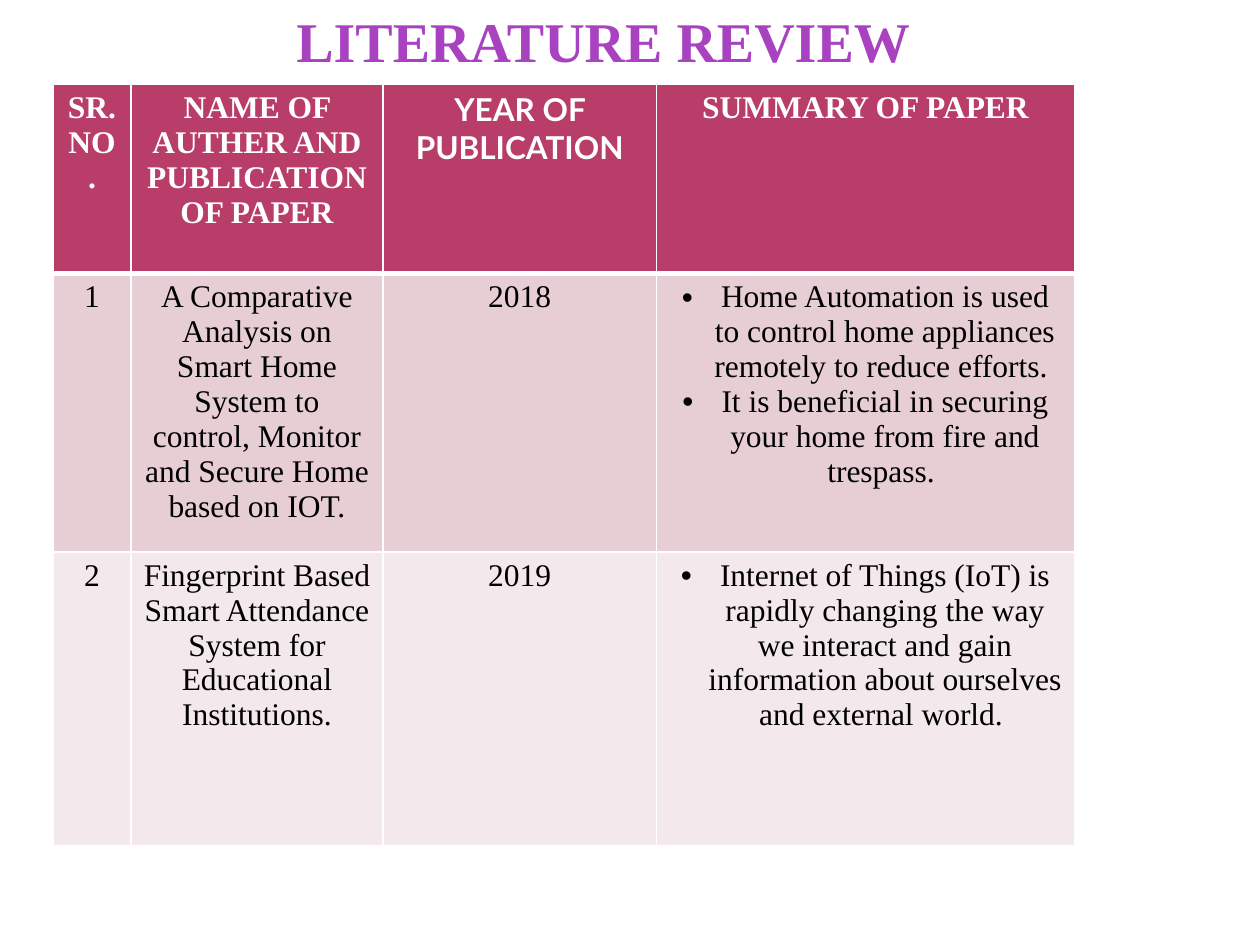
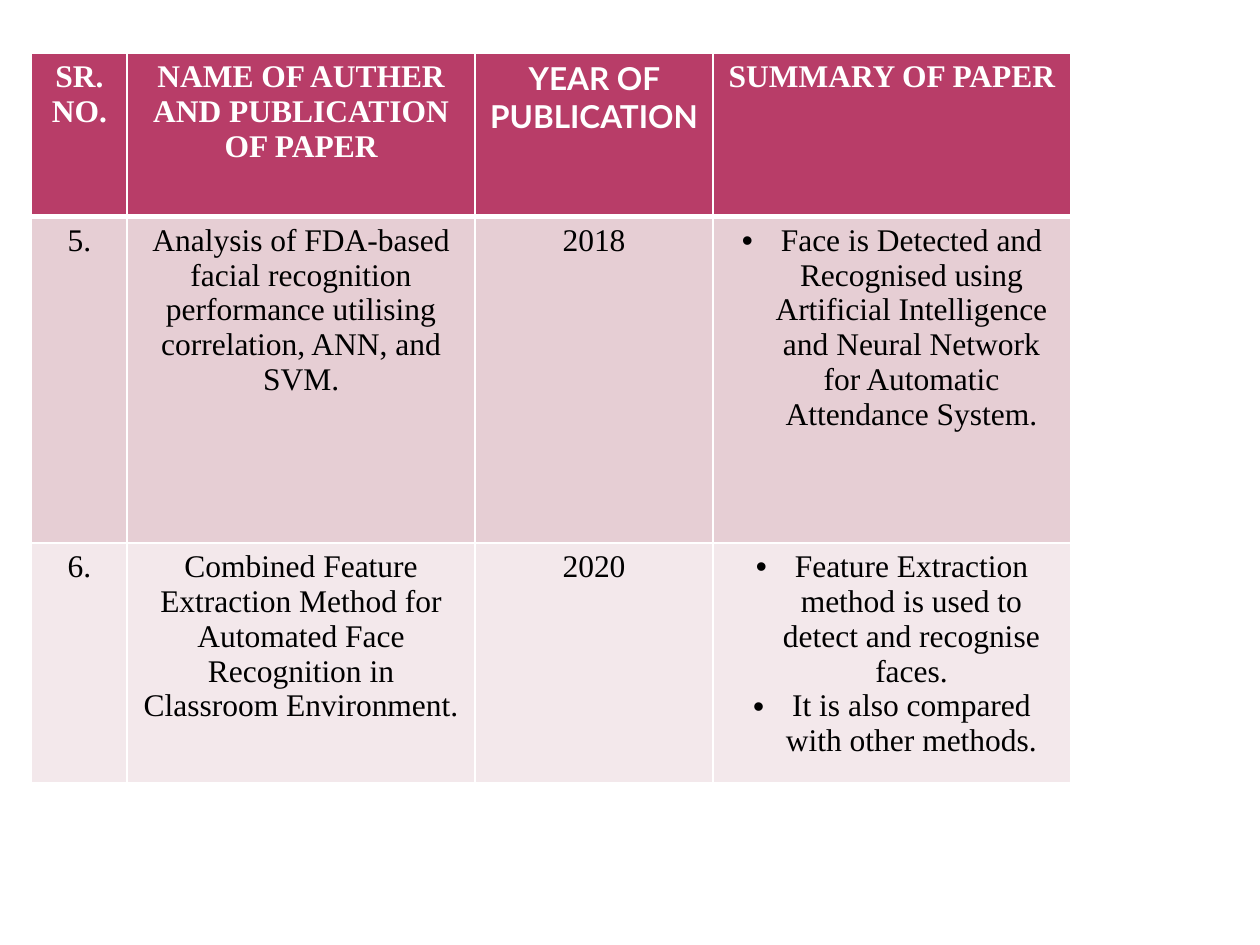
from lxml.etree import SubElement
from pptx import Presentation
from pptx.dml.color import RGBColor
from pptx.enum.text import MSO_ANCHOR as Anchor, MSO_AUTO_SIZE as AutoSize, PP_ALIGN as Align
from pptx.oxml import parse_xml
from pptx.oxml.ns import nsdecls, qn
from pptx.util import Inches, Pt

SERIF, SANS = "Times New Roman", "Lato"
WHITE, BLACK, PURPLE = "FFFFFF", "000000", "A942C1"
HEADER_FILL = "B83D68"
BAND_FILLS = ["E6CED4", "F3E8EB"]
TITLE_ONLY, BLANK = 5, 6
HEADINGS = [
    ("SR. NO.", SERIF),
    ("NAME OF AUTHER AND PUBLICATION OF PAPER", SERIF),
    ("YEAR OF PUBLICATION", SANS),
    ("SUMMARY OF PAPER", SERIF),
]
FIRST_PAPERS = [
    ("1",
     "A Comparative Analysis on Smart Home System to control, Monitor and Secure Home based on IOT.",
     "2018",
     ["Home Automation is used to control home appliances remotely to reduce efforts. ",
      "It is beneficial in securing your home from fire and trespass. "]),
    ("2",
     "Fingerprint Based Smart Attendance System for Educational Institutions.",
     "2019",
     ["Internet of Things (IoT) is rapidly changing the way we interact and gain "
      "information about ourselves and external world. "]),
]
LATER_PAPERS = [
    ("5.",
     "Analysis of FDA-based facial recognition performance utilising correlation, ANN, and SVM.",
     "2018",
     ["Face is Detected and Recognised using Artificial Intelligence and Neural Network "
      "for Automatic Attendance System."]),
    ("6.",
     "Combined Feature Extraction Method for Automated Face Recognition in Classroom Environment.",
     "2020",
     ["Feature Extraction method is used to detect and recognise faces.",
      "It is also compared with other methods."]),
]


def color(value):
    return RGBColor.from_string(value)


def add_span(para, text, size, ink, font=SERIF, bold=False):
    para.alignment = Align.CENTER
    span = para.add_run()
    span.text = text
    span.font.name = font
    span.font.size = Pt(size)
    span.font.bold = bold
    span.font.color.rgb = color(ink)


def add_bullet(para):
    props = para._p.get_or_add_pPr()
    props.set("marL", str(Inches(0.31)))
    props.set("indent", str(-Inches(0.31)))
    SubElement(props, qn("a:buFont")).set("typeface", "Arial")
    SubElement(props, qn("a:buChar")).set("char", "•")


def set_borders(cell, top=1, bottom=1):
    props = cell._tc.get_or_add_tcPr()
    widths = {"lnL": 1, "lnR": 1, "lnT": top, "lnB": bottom}
    for index, (side, width) in enumerate(widths.items()):
        props.insert(index, parse_xml(
            f'<a:{side} {nsdecls("a")} w="{Pt(width)}"><a:solidFill>'
            f'<a:srgbClr val="{WHITE}"/></a:solidFill></a:{side}>'))


def fill_cell(cell, fill, top=1, bottom=1):
    cell.fill.solid()
    cell.fill.fore_color.rgb = color(fill)
    set_borders(cell, top, bottom)


def write_header(table):
    for column, (heading, font) in enumerate(HEADINGS):
        cell = table.cell(0, column)
        fill_cell(cell, HEADER_FILL, bottom=3)
        add_span(cell.text_frame.paragraphs[0], heading, 18, WHITE, font, True)


def write_paper(table, row, paper):
    for column, content in enumerate(paper):
        cell = table.cell(row, column)
        fill_cell(cell, BAND_FILLS[(row - 1) % 2], top=3 if row == 1 else 1)
        frame = cell.text_frame
        bulleted = isinstance(content, list)
        for index, text in enumerate(content if bulleted else [content]):
            para = frame.add_paragraph() if index else frame.paragraphs[0]
            add_span(para, text, 18, BLACK)
            if bulleted:
                add_bullet(para)


def add_review_table(page, left, top, widths, heights, papers):
    table = page.shapes.add_table(
        len(heights), len(widths), Inches(left), Inches(top),
        Inches(sum(widths)), Inches(sum(heights))).table
    for column, width in zip(table.columns, widths):
        column.width = Inches(width)
    for row, height in zip(table.rows, heights):
        row.height = Inches(height)
    write_header(table)
    for row, paper in enumerate(papers, 1):
        write_paper(table, row, paper)


def add_title(page, text):
    box = page.shapes.title
    box.left, box.top = Inches(0.58), Inches(0)
    box.width, box.height = Inches(8.42), Inches(0.64)
    frame = box.text_frame
    frame.word_wrap = True
    frame.auto_size = AutoSize.SHAPE_TO_FIT_TEXT
    frame.vertical_anchor = Anchor.TOP
    add_span(frame.paragraphs[0], text, 32, PURPLE, bold=True)


def main():
    deck = Presentation()
    deck.slide_width, deck.slide_height = Inches(10), Inches(7.5)

    page = deck.slides.add_slide(deck.slide_layouts[TITLE_ONLY])
    add_title(page, "LITERATURE REVIEW")
    add_review_table(page, 0.42, 0.67, [0.62, 2, 2.17, 3.32], [1.5, 2.21, 2.33], FIRST_PAPERS)

    page = deck.slides.add_slide(deck.slide_layouts[BLANK])
    add_review_table(page, 0.25, 0.42, [0.76, 2.76, 1.89, 2.84], [1.3, 2.59, 1.9], LATER_PAPERS)

    deck.save("out.pptx")


if __name__ == "__main__":
    main()
